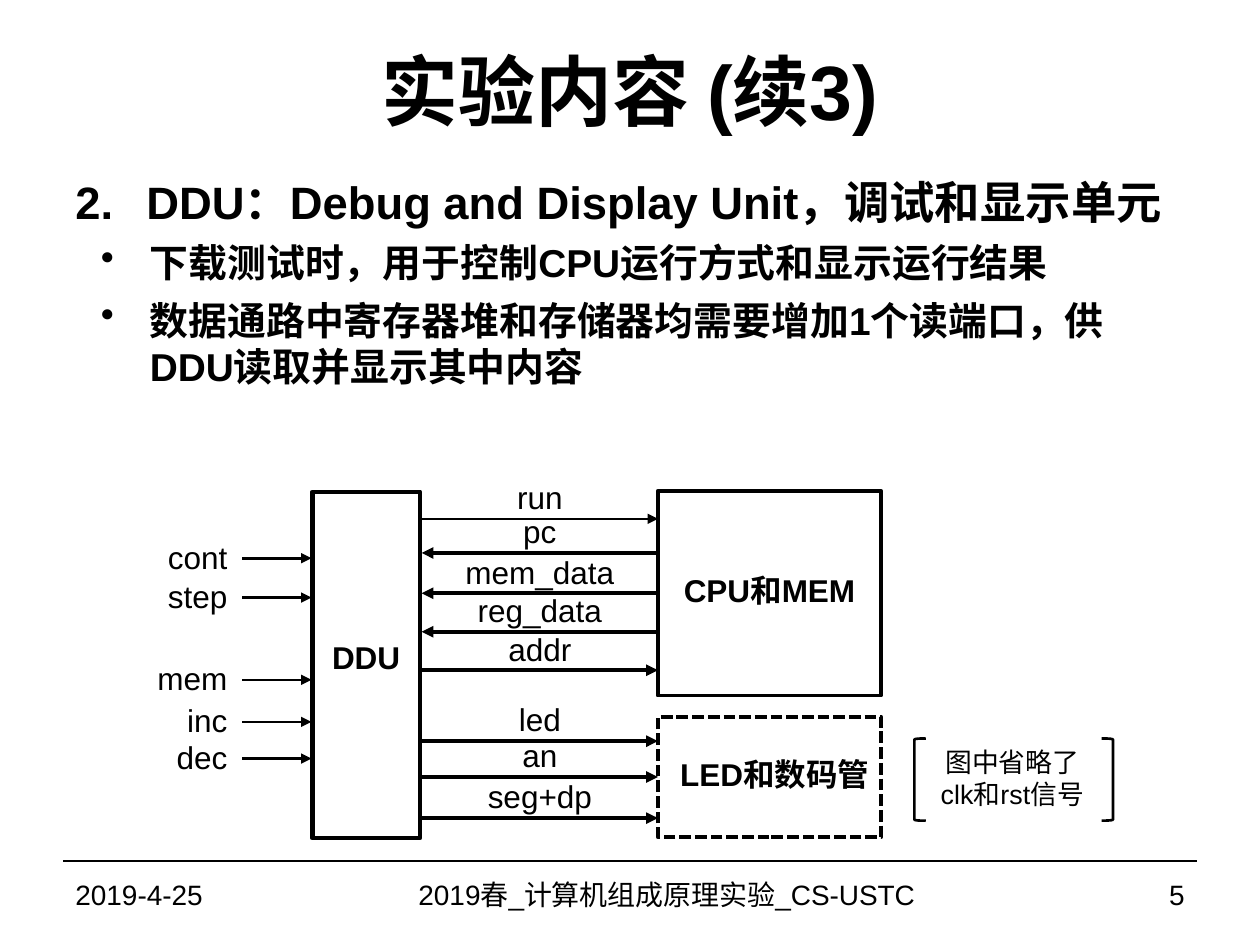
from dataclasses import dataclass

from pptx import Presentation
from pptx import util as u
from pptx.dml import color
from pptx.enum import dml, shapes, text
from pptx.oxml import ns, xmlchemy

Pt = u.Pt
ALIGN = text.PP_ALIGN
SHAPE = shapes.MSO_SHAPE


@dataclass(frozen=True)
class Theme:
    font: str = "Arial"
    ink: color.RGBColor = color.RGBColor(0, 0, 0)
    title: float = 44
    heading: float = 25.9
    bullet: float = 22.2
    label: float = 18
    footer: float = 16
    note: float = 15.3
    thin: float = 0.75
    medium: float = 1.5
    thick: float = 2.25


THEME = Theme()


def apply_format(target, values):
    for name, value in values.items():
        setattr(target, name, value)


def add_xml(parent, tag, **attributes):
    element = xmlchemy.OxmlElement(tag)
    for name, value in attributes.items():
        element.set(name, value)
    parent.append(element)
    return element


def write(shape, lines, size, align=ALIGN.CENTER, bold=False, wrap=False,
          insets=(0, 0, 0, 0), spacing=None):
    """Fill a shape with paragraphs of one format; insets are left, top, right, bottom."""
    frame = shape.text_frame
    left, top, right, bottom = map(Pt, insets)
    apply_format(frame, dict(
        text="\n".join(lines), word_wrap=wrap, auto_size=text.MSO_AUTO_SIZE.NONE,
        vertical_anchor=text.MSO_ANCHOR.MIDDLE, margin_left=left, margin_top=top,
        margin_right=right, margin_bottom=bottom))
    for paragraph in frame.paragraphs:
        apply_format(paragraph, dict(alignment=align, line_spacing=spacing))
        apply_format(paragraph.font, dict(name=THEME.font, size=Pt(size), bold=bold))
        paragraph.font.color.rgb = THEME.ink


def add_text(slide, box, lines, size, **options):
    shape = slide.shapes.add_textbox(*map(Pt, box))
    write(shape, lines, size, **options)
    return shape


def add_outline(slide, kind, box, width):
    shape = slide.shapes.add_shape(kind, *map(Pt, box))
    shape.shadow.inherit = False
    shape.fill.background()
    shape.line.color.rgb = THEME.ink
    shape.line.width = Pt(width)
    return shape


def add_block(slide, box, name, width=THEME.thick, **options):
    block = add_outline(slide, SHAPE.RECTANGLE, box, width)
    write(block, [name], THEME.label, bold=True, spacing=Pt(18), **options)
    return block


def add_line(slide, start, end, y, width, arrow=True):
    line = slide.shapes.add_connector(
        shapes.MSO_CONNECTOR.STRAIGHT, Pt(start), Pt(y), Pt(end), Pt(y))
    line.line.color.rgb = THEME.ink
    line.line.width = Pt(width)
    if arrow:
        add_xml(line.line._get_or_add_ln(), "a:tailEnd", type="triangle")
    add_xml(line._element.spPr, "a:effectLst")
    return line


def set_bullet(paragraph, margin, hang, tag, **attributes):
    properties = paragraph._p.get_or_add_pPr()
    properties.set("marL", str(Pt(margin)))
    properties.set("indent", str(-Pt(hang)))
    add_xml(properties, tag, **attributes)


def add_title(slide):
    title = slide.shapes.title
    apply_format(title, dict(left=Pt(36), top=Pt(6), width=Pt(648), height=Pt(90)))
    write(title, ["实验内容 (续3)"], THEME.title, bold=True, wrap=True,
          insets=(7.2, 3.6, 7.2, 3.6))


def add_body(slide):
    lines = ["DDU：Debug and Display Unit，调试和显示单元",
             "下载测试时，用于控制CPU运行方式和显示运行结果",
             "数据通路中寄存器堆和存储器均需要增加1个读端口，供DDU读取并显示其中内容"]
    body = add_text(slide, (36, 96, 636, 170.5), lines, THEME.bullet, bold=True,
                    align=ALIGN.LEFT, wrap=True, insets=(7.2, 3.6, 7.2, 3.6))
    body.text_frame.vertical_anchor = text.MSO_ANCHOR.TOP
    heading, *points = body.text_frame.paragraphs
    for paragraph in (heading, *points):
        paragraph.space_before = Pt(6)
    heading.font.size = Pt(THEME.heading)
    set_bullet(heading, 40.5, 40.5, "a:buAutoNum", type="arabicPeriod", startAt="2")
    for point in points:
        point.level = 1
        set_bullet(point, 42.5, 28, "a:buChar", char="•")


def add_footer(slide):
    add_line(slide, 36, 684, 492, THEME.thin, arrow=False)
    for left, width, words, align in (
            (36, 168, "2019-4-25", ALIGN.LEFT),
            (204, 354, "2019春_计算机组成原理实验_CS-USTC", ALIGN.CENTER),
            (558, 126, "5", ALIGN.RIGHT)):
        add_text(slide, (left, 492, width, 37.5), [words], THEME.footer,
                 align=align, wrap=True, insets=(7.2, 3.6, 7.2, 3.6))


def add_inputs(slide):
    for name, y in (("cont", 319), ("step", 341.5), ("mem", 388.5),
                    ("inc", 412.5), ("dec", 433.5)):
        add_text(slide, (89, y - 13, 41, 24), [name], THEME.label, align=ALIGN.RIGHT)
        add_line(slide, 138.5, 178, y, THEME.medium)


def add_signals(slide, cpu, led):
    ddu_side, block_side, middle = 241, 376, 308.5
    # name, label width, height of the line, towards DDU, line width, joined block
    for name, width, y, to_ddu, weight, block in (
            ("run", 26, 296.5, False, THEME.medium, None),
            ("pc", 19, 316, True, THEME.thick, None),
            ("mem_data", 85, 339, True, THEME.thick, cpu),
            ("reg_data", 72, 361, True, THEME.thick, None),
            ("addr", 37, 383, False, THEME.thick, None),
            ("led", 25, 423.5, False, THEME.thick, None),
            ("an", 20, 444, False, THEME.thick, led),
            ("seg+dp", 60, 467.5, False, THEME.thick, None)):
        add_text(slide, (middle - width / 2, y - 24.5, width, 24), [name], THEME.label)
        ends = (block_side, ddu_side) if to_ddu else (ddu_side, block_side)
        line = add_line(slide, *ends, y, weight)
        if block is not None:
            join = line.begin_connect if to_ddu else line.end_connect
            join(block, 1)


def add_note(slide):
    add_text(slide, (529, 417.5, 99, 54), ["图中省略了", "clk和rst信号"],
             THEME.note, wrap=True)
    for kind, left in ((SHAPE.LEFT_BRACKET, 522.5), (SHAPE.RIGHT_BRACKET, 629.5)):
        bracket = add_outline(slide, kind, (left, 422, 6.5, 47), THEME.medium)
        bracket.adjustments[0] = 0.08


def main():
    presentation = Presentation()
    presentation.slide_width, presentation.slide_height = Pt(720), Pt(540)
    slide = presentation.slides.add_slide(presentation.slide_layouts[5])

    # Words
    add_title(slide)
    add_body(slide)
    add_footer(slide)

    # Block diagram
    add_block(slide, (178.5, 281, 61.5, 198), "DDU", width=2.5, insets=(0, 0, 0, 6))
    cpu = add_block(slide, (376, 280.5, 127.5, 117), "CPU和MEM")
    led = add_block(slide, (376, 409.5, 127.5, 69), "LED和数码管", insets=(5.8, 0, 0, 0))
    led.line.dash_style = dml.MSO_LINE.SQUARE_DOT
    add_inputs(slide)
    add_signals(slide, cpu, led)
    add_note(slide)

    presentation.save("out.pptx")


if __name__ == "__main__":
    main()
